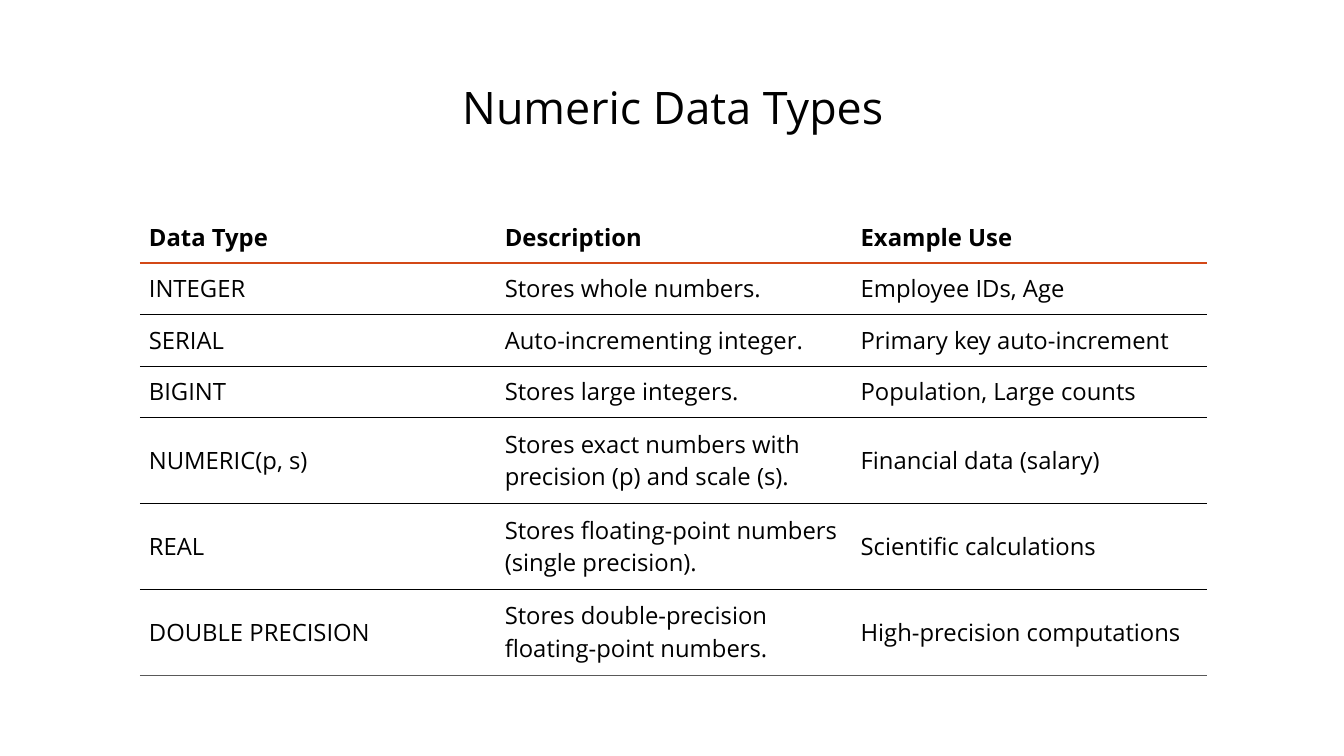
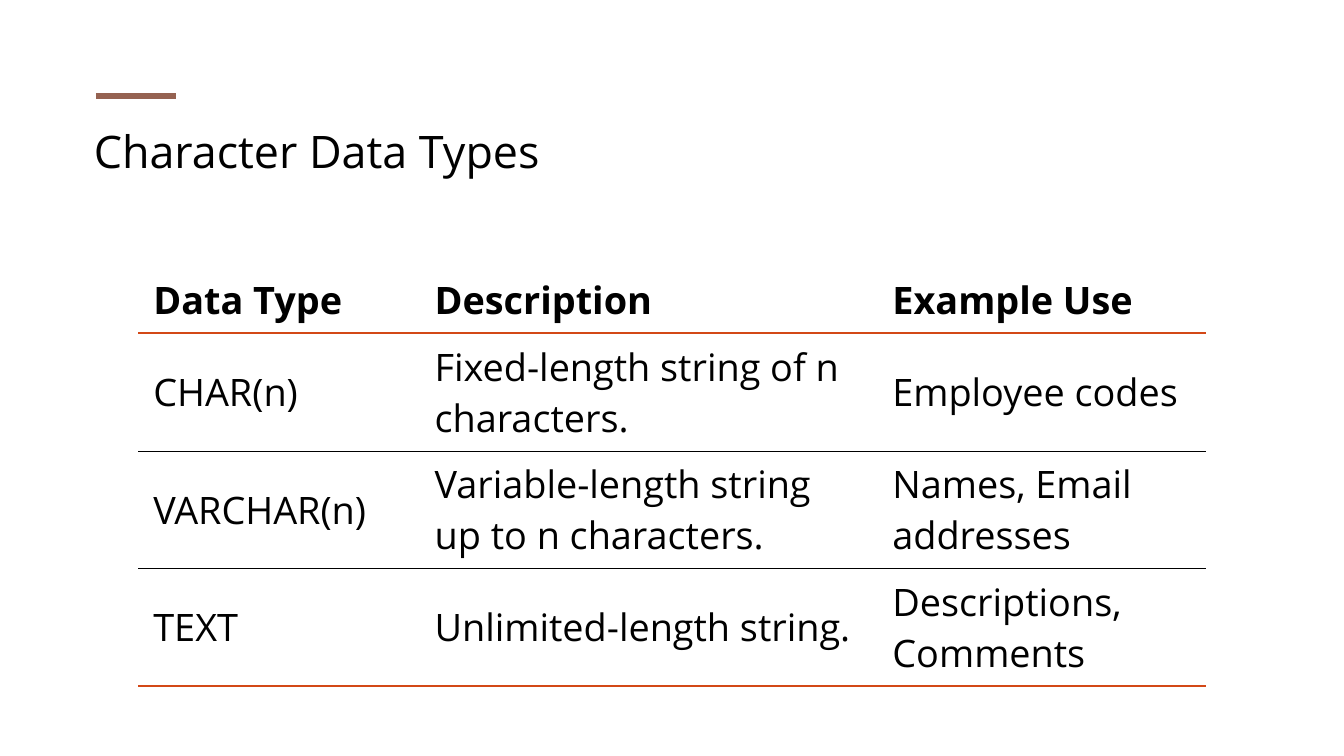
from lxml import etree
from pptx import Presentation
from pptx import util as u
from pptx.dml.color import RGBColor
from pptx.enum import shapes, text
from pptx.oxml import ns


def rgb(value):
    return RGBColor.from_string(value)


class Deck:
    """Hold the shared style and the current slide; lengths are percent of the slide size."""

    FONT, INK, ACCENT, BAR, SOFT = "Open Sans", "000000", "D34817", "956251", "595959"
    TITLE_SIZE = 32

    def __init__(self):
        self.prs = Presentation()
        self.prs.slide_width, self.prs.slide_height = u.Inches(13.33), u.Inches(7.5)
        self.s = None

    def x(self, share):
        return round(self.prs.slide_width * share / 100)

    def y(self, share):
        return round(self.prs.slide_height * share / 100)

    def style(self, p, size, bold=False):
        p.font.name, p.font.size, p.font.bold = self.FONT, u.Pt(size), bold
        p.font.color.rgb = rgb(self.INK)

    def slide(self, title, left, top, width, height, align):
        self.s = self.prs.slides.add_slide(self.prs.slide_layouts[5])
        sp = self.s.shapes.title
        sp.left, sp.top = self.x(left), self.y(top)
        sp.width, sp.height = self.x(width), self.y(height)
        tf = sp.text_frame
        tf.text, tf.word_wrap = title, True
        tf.auto_size = text.MSO_AUTO_SIZE.NONE
        tf.vertical_anchor = text.MSO_ANCHOR.TOP
        p = tf.paragraphs[0]
        p.alignment, p.line_spacing = align, 0.9
        self.style(p, self.TITLE_SIZE)

    def bar(self, left, right, top):
        line = self.s.shapes.add_connector(
            shapes.MSO_CONNECTOR.STRAIGHT, self.x(left), self.y(top), self.x(right), self.y(top))
        line.line.color.rgb, line.line.width = rgb(self.BAR), u.Pt(4.5)
        etree.SubElement(line._element.spPr, ns.qn("a:effectLst"))

    def border(self, cell, side, rule):
        ln = etree.SubElement(cell._tc.get_or_add_tcPr(), ns.qn("a:ln" + side))
        if rule is None:
            etree.SubElement(ln, ns.qn("a:noFill"))
            return
        color, width = rule
        ln.set("w", str(u.Pt(width)))
        fill = etree.SubElement(ln, ns.qn("a:solidFill"))
        etree.SubElement(fill, ns.qn("a:srgbClr")).set("val", color)

    def table(self, left, top, cols, heights, rows, size, pad, last_rule):
        frame = self.s.shapes.add_table(
            len(rows), len(cols), self.x(left), self.y(top), self.x(sum(cols)), self.y(sum(heights)))
        table = frame.table
        table.first_row = table.horz_banding = False
        for column, width in zip(table.columns, cols):
            column.width = self.x(width)
        inner = [(self.INK, 0.25)] * (len(rows) - 2)
        rules = [None, (self.ACCENT, 1.5), *inner, last_rule]
        for i, (row, height) in enumerate(zip(table.rows, heights)):
            row.height = self.y(height)
            for cell, words in zip(row.cells, rows[i]):
                cell.text = words
                self.style(cell.text_frame.paragraphs[0], size, bold=i == 0)
                cell.vertical_anchor = text.MSO_ANCHOR.MIDDLE
                cell.margin_left = cell.margin_right = self.x(pad[0])
                cell.margin_top = cell.margin_bottom = self.y(pad[1])
                for side, rule in zip("LRTB", (None, None, rules[i], rules[i + 1])):
                    self.border(cell, side, rule)
                cell.fill.background()


HEADER = ("Data Type", "Description", "Example Use")
NUMERIC = [
    HEADER,
    ("INTEGER", "Stores whole numbers.", "Employee IDs, Age"),
    ("SERIAL", "Auto-incrementing integer.", "Primary key auto-increment"),
    ("BIGINT", "Stores large integers.", "Population, Large counts"),
    ("NUMERIC(p, s)", "Stores exact numbers with precision (p) and scale (s).", "Financial data (salary)"),
    ("REAL", "Stores floating-point numbers (single precision).", "Scientific calculations"),
    ("DOUBLE PRECISION", "Stores double-precision floating-point numbers.", "High-precision computations"),
]
CHARACTER = [
    HEADER,
    ("CHAR(n)", "Fixed-length string of n characters.", "Employee codes"),
    ("VARCHAR(n)", "Variable-length string up to n characters.", "Names, Email addresses"),
    ("TEXT", "Unlimited-length string.", "Descriptions, Comments"),
]


def main():
    deck = Deck()

    deck.slide("Numeric Data Types", 11.33, 10.67, 77.5, 13.87, text.PP_ALIGN.CENTER)
    deck.table(10.4, 28, [26.48] * 3, [6.8] * 4 + [11.37] * 3, NUMERIC,
               size=17, pad=(0.68, 0.67), last_rule=(deck.SOFT, 0.25))

    deck.slide("Character Data Types", 6.23, 16.53, 79.9, 16.13, text.PP_ALIGN.LEFT)
    deck.bar(7.13, 13.13, 12.67)
    deck.table(10.28, 35.33, [20.93, 34.06, 24.46], [8.67] + [14.67] * 3, CHARACTER,
               size=27, pad=(1.13, 0.98), last_rule=(deck.ACCENT, 1))

    deck.prs.save("out.pptx")


if __name__ == "__main__":
    main()
